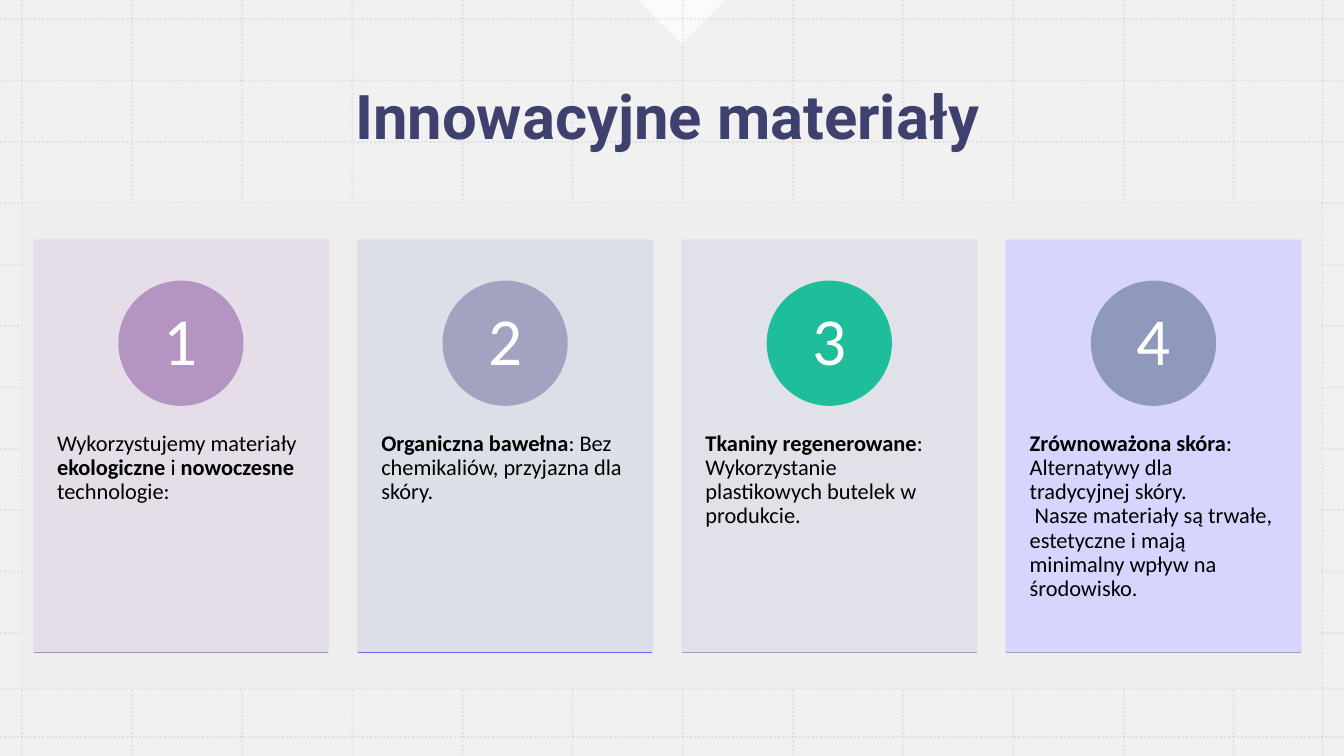
from lxml import etree
from pptx import Presentation
from pptx.dml.color import RGBColor
from pptx.enum.dml import MSO_LINE
from pptx.enum.shapes import MSO_CONNECTOR, MSO_SHAPE
from pptx.enum.text import MSO_ANCHOR, PP_ALIGN
from pptx.oxml.ns import qn
from pptx.util import Cm, Pt

STRAIGHT = MSO_CONNECTOR.STRAIGHT
DOTTED = MSO_LINE.ROUND_DOT
RECTANGLE = MSO_SHAPE.RECTANGLE
OVAL = MSO_SHAPE.OVAL
RIGHT_TRIANGLE = MSO_SHAPE.RIGHT_TRIANGLE
TOP, MIDDLE = MSO_ANCHOR.TOP, MSO_ANCHOR.MIDDLE
LEFT, CENTER = PP_ALIGN.LEFT, PP_ALIGN.CENTER

COLORS = {
    "page": "F1F1F1", "panel": "EEEEEE", "white": "FFFFFF", "black": "000000",
    "navy": "12154E", "mauve": "B495C2", "lilac": "A3A3C1", "green": "1EBE9B",
    "slate": "8F99BB", "violet": "7162FE", "pale_mauve": "E5DDE9",
    "pale_blue": "DBDEE7", "pale_grey": "E0E0E9", "pale_violet": "D5D3FF",
}

TITLE = "Innowacyjne materiały"

CARDS = [
    ("pale_mauve", "mauve", "slate", [[
        ("Wykorzystujemy materiały ", False), ("ekologiczne ", True), ("i", False),
        (" nowoczesne", True), (" technologie:", False)]]),
    ("pale_blue", "lilac", "violet", [[
        ("Organiczna bawełna", True),
        (": Bez chemikaliów, przyjazna dla skóry.", False)]]),
    ("pale_grey", "green", "mauve", [[
        ("Tkaniny regenerowane", True),
        (": Wykorzystanie plastikowych butelek w produkcie.", False)]]),
    ("pale_violet", "slate", "lilac", [
        [("Zrównoważona skóra", True), (": Alternatywy dla tradycyjnej skóry.", False)],
        [(" Nasze materiały są trwałe, estetyczne i mają minimalny wpływ na środowisko.",
          False)]]),
]

PAGE_WIDTH, PAGE_HEIGHT = 33.87, 19.05
CARD_LEFT, CARD_TOP, CARD_WIDTH, CARD_HEIGHT, CARD_PITCH = 0.85, 6.05, 7.42, 10.39, 8.17
CIRCLE_TOP, CIRCLE_SIZE, NUMBER_SIZE = 7.09, 3.12, 2.21
BODY_TOP, BODY_HEIGHT = 9.98, 6.25


def evenly(first, last, steps):
    return [first + (last - first) * step / steps for step in range(steps + 1)]


def rgb(name):
    return RGBColor.from_string(COLORS[name])


def set_opacity(owner, percent):
    for color in owner.iter(qn("a:srgbClr")):
        etree.SubElement(color, qn("a:alpha")).set("val", str(percent * 1000))


def add_block(kind, left, top, width, height, color, opacity=100, outlined=False):
    shape = page.shapes.add_shape(kind, Cm(left), Cm(top), Cm(width), Cm(height))
    shape.shadow.inherit = False
    shape.fill.solid()
    shape.fill.fore_color.rgb = rgb(color)
    if outlined:
        shape.line.color.rgb = rgb(color)
        shape.line.width = Pt(1)
    else:
        shape.line.fill.background()
    if opacity < 100:
        set_opacity(shape.element.spPr, opacity)
    return shape


def add_line(left, top, right, bottom, color, width):
    line = page.shapes.add_connector(STRAIGHT, Cm(left), Cm(top), Cm(right), Cm(bottom))
    line.line.color.rgb = rgb(color)
    line.line.width = Pt(width)
    etree.SubElement(line.element.spPr, qn("a:effectLst"))
    return line


def add_grid_line(left, top, right, bottom):
    line = add_line(left, top, right, bottom, "mauve", 1.5)
    line.line.dash_style = DOTTED
    set_opacity(line.element.spPr, 20)


def add_text(area, lines, font, size, color, align=LEFT, anchor=TOP, insets=(0.25, 0.13)):
    box = page.shapes.add_textbox(*[Cm(length) for length in area])
    frame = box.text_frame
    frame.word_wrap = True
    frame.vertical_anchor = anchor
    frame.margin_left = frame.margin_right = Cm(insets[0])
    frame.margin_top = frame.margin_bottom = Cm(insets[1])
    para = frame.paragraphs[0]
    para.alignment = align
    para.line_spacing = 0.9
    for index, line in enumerate(lines):
        if index:
            para.add_line_break()
        for text, bold in line:
            span = para.add_run()
            span.text = text
            span.font.bold = bold
    for span in para.runs:
        span.font.name = font
        span.font.size = Pt(size)
        span.font.color.rgb = rgb(color)
    return box


def add_card(number, tint, accent, base, lines):
    left = CARD_LEFT + (number - 1) * CARD_PITCH
    add_block(RECTANGLE, left, CARD_TOP, CARD_WIDTH, CARD_HEIGHT, tint, 90, True)
    add_text((left, BODY_TOP, CARD_WIDTH, BODY_HEIGHT), lines, "Calibri", 16, "black",
             insets=(0.59, 0.91))
    add_block(OVAL, left + (CARD_WIDTH - CIRCLE_SIZE) / 2, CIRCLE_TOP,
              CIRCLE_SIZE, CIRCLE_SIZE, accent, outlined=True)
    number_left = left + (CARD_WIDTH - NUMBER_SIZE) / 2
    number_top = CIRCLE_TOP + (CIRCLE_SIZE - NUMBER_SIZE) / 2
    add_text((number_left, number_top, NUMBER_SIZE, NUMBER_SIZE), [[(str(number), False)]],
             "Calibri", 48, "white", CENTER, MIDDLE, (0.25, 0.03))
    bottom = CARD_TOP + CARD_HEIGHT
    add_line(left, bottom, left + CARD_WIDTH, bottom, base, 1)


deck = Presentation()
deck.slide_width, deck.slide_height = Cm(PAGE_WIDTH), Cm(PAGE_HEIGHT)
page = deck.slides.add_slide(deck.slide_layouts[6])
page.background.fill.solid()
page.background.fill.fore_color.rgb = rgb("page")

notch = add_block(RIGHT_TRIANGLE, 16.39, -0.79, 1.57, 1.57, "white", 75)
notch.rotation = 315

for x in evenly(0.55, 31.09, 11) + [33.33]:
    add_grid_line(x, 0, x, PAGE_HEIGHT)
for y in evenly(0.48, 15.95, 10) + [17.35, 18.57]:
    add_grid_line(0, y, PAGE_WIDTH, y)

add_block(RECTANGLE, 0.55, 5.11, 32.75, 12.24, "panel")
title = add_text((0.85, 0.94, 31.95, 4.17), [[(TITLE, True)]], "Roboto", 44, "navy",
                 CENTER, MIDDLE)
set_opacity(title.element, 80)

for number, card in enumerate(CARDS, 1):
    add_card(number, *card)

deck.save("out.pptx")
